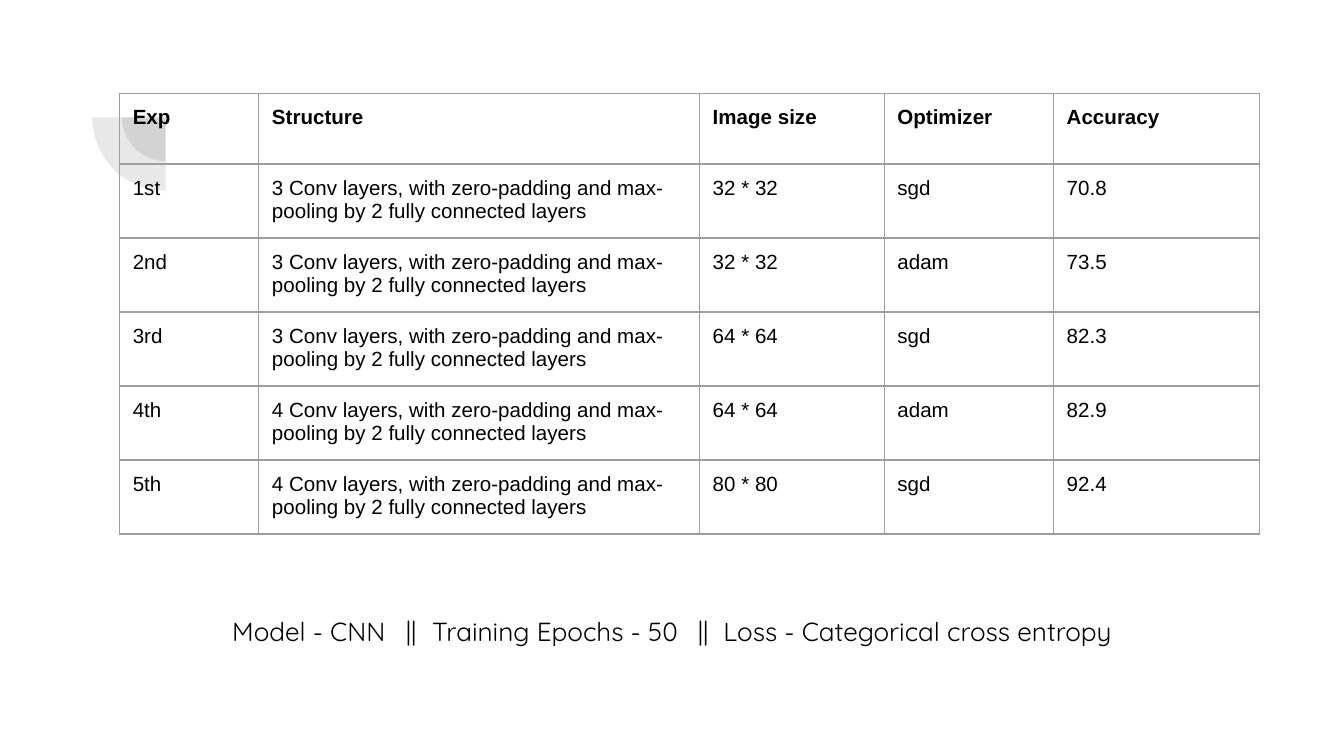
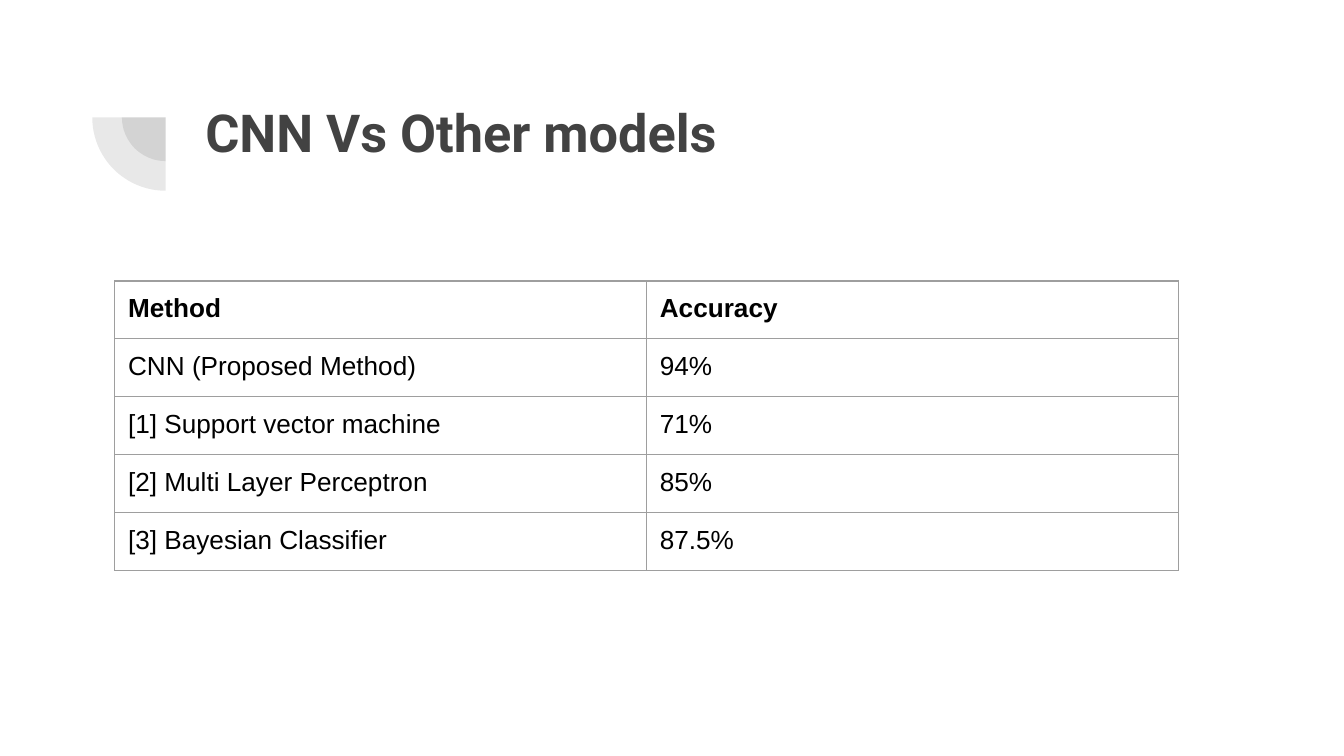
from dataclasses import dataclass
from typing import Any

from lxml import etree
from pptx import Presentation
from pptx.dml.color import RGBColor
from pptx.enum.shapes import MSO_SHAPE
from pptx.enum.text import MSO_ANCHOR
from pptx.oxml.ns import qn
from pptx.util import Cm, Pt

PIE = MSO_SHAPE.PIE
TOP = MSO_ANCHOR.TOP
BLANK_LAYOUT = 6


@dataclass(frozen=True)
class Theme:
    ink: str = "000000"
    heading: str = "424242"
    border: str = "9E9E9E"
    border_width: float = 0.75
    motif_opacity: int = 12
    table_font: str = "Arial"
    note_font: str = "Quicksand"
    title_font: str = "Roboto"
    small_size: int = 11
    medium_size: int = 14
    title_size: int = 28
    inset: float = 0.25


@dataclass(frozen=True)
class Box:
    left: float
    top: float
    width: float
    height: float

    def lengths(self) -> tuple[Cm, ...]:
        return tuple(Cm(v) for v in (self.left, self.top, self.width, self.height))


@dataclass(frozen=True)
class TextStyle:
    font: str
    size: int
    color: str
    bold: bool = False


@dataclass(frozen=True)
class TableSpec:
    left: float
    top: float
    columns: list[float]
    row_heights: list[float]
    size: int
    rows: list[tuple[str, ...]]


THEME = Theme()
TITLE_STYLE = TextStyle(THEME.title_font, THEME.title_size, THEME.heading, True)
NOTE_STYLE = TextStyle(THEME.note_font, THEME.medium_size, THEME.ink)

# Corner motif: concentric quarter circles
MOTIF_CENTER = (3.13, 2.22)
MOTIF_DIAMETERS = (1.65, 2.77)
QUARTER = (108, 162)


def set_attributes(target: Any, values: dict[str, Any]) -> None:
    for name, value in values.items():
        setattr(target, name, value)


def write_text(frame: Any, text: str, style: TextStyle) -> None:
    paragraph = frame.paragraphs[0]
    run = paragraph.add_run()
    run.text = text
    set_attributes(run.font, {
        "name": style.font, "size": Pt(style.size), "bold": style.bold,
    })
    run.font.color.rgb = RGBColor.from_string(style.color)


def margins(left: float = THEME.inset) -> dict[str, Any]:
    inset = Cm(THEME.inset)
    return {"margin_left": Cm(left), "margin_right": inset,
            "margin_top": inset, "margin_bottom": inset}


def add_text(slide: Any, box: Box, text: str, style: TextStyle,
             left_margin: float = THEME.inset) -> Any:
    frame = slide.shapes.add_textbox(*box.lengths()).text_frame
    set_attributes(frame, {
        "word_wrap": True, "vertical_anchor": TOP, **margins(left_margin),
    })
    write_text(frame, text, style)
    return frame


def set_tab_stops(paragraph: Any, stops: list[float]) -> None:
    properties = paragraph._p.get_or_add_pPr()
    tab_list = etree.SubElement(properties, qn("a:tabLst"))
    for stop in stops:
        etree.SubElement(tab_list, qn("a:tab"), pos=str(Cm(stop)), algn="l")


def add_motif(slide: Any) -> None:
    group = slide.shapes.add_group_shape()
    for diameter in MOTIF_DIAMETERS:
        left, top = (center - diameter / 2 for center in MOTIF_CENTER)
        shape = group.shapes.add_shape(
            PIE, *Box(left, top, diameter, diameter).lengths())
        shape.adjustments[0], shape.adjustments[1] = QUARTER
        shape.rotation = 270
        shape.shadow.inherit = False
        shape.line.fill.background()
        shape.fill.solid()
        shape.fill.fore_color.rgb = RGBColor.from_string(THEME.heading)
        color = shape._element.spPr.find(f".//{qn('a:srgbClr')}")
        etree.SubElement(color, qn("a:alpha"), val=str(THEME.motif_opacity * 1000))


def set_borders(cell: Any) -> None:
    properties = cell._tc.get_or_add_tcPr()
    for index, side in enumerate(("lnL", "lnR", "lnT", "lnB")):
        line = etree.Element(qn(f"a:{side}"), w=str(Pt(THEME.border_width)))
        fill = etree.SubElement(line, qn("a:solidFill"))
        etree.SubElement(fill, qn("a:srgbClr"), val=THEME.border)
        properties.insert(index, line)


def add_table(slide: Any, table_spec: TableSpec) -> None:
    box = Box(table_spec.left, table_spec.top,
              sum(table_spec.columns), sum(table_spec.row_heights))
    table = slide.shapes.add_table(
        len(table_spec.rows), len(table_spec.columns), *box.lengths()).table
    set_attributes(table, {"first_row": False, "horz_banding": False})
    for column, width in zip(table.columns, table_spec.columns):
        column.width = Cm(width)
    for row_index, (row, height) in enumerate(zip(table.rows, table_spec.row_heights)):
        row.height = Cm(height)
        style = TextStyle(THEME.table_font, table_spec.size, THEME.ink, row_index == 0)
        for cell, text in zip(row.cells, table_spec.rows[row_index]):
            set_attributes(cell, {"vertical_anchor": TOP, **margins()})
            cell.fill.background()
            set_borders(cell)
            write_text(cell.text_frame, text, style)


def structure(layers: int) -> str:
    return (f"{layers} Conv layers, with zero-padding and max-pooling "
            "by 2 fully connected layers")


EXPERIMENTS = TableSpec(
    left=2.26, top=1.76, columns=[2.63, 8.33, 3.49, 3.2, 3.9],
    row_heights=[1.34] + [1.4] * 5, size=THEME.small_size,
    rows=[
        ("Exp", "Structure", "Image size", "Optimizer", "Accuracy"),
        ("1st", structure(3), "32 * 32", "sgd", "70.8"),
        ("2nd", structure(3), "32 * 32", "adam", "73.5"),
        ("3rd", structure(3), "64 * 64", "sgd", "82.3"),
        ("4th", structure(4), "64 * 64", "adam", "82.9"),
        ("5th", structure(4), "80 * 80", "sgd", "92.4"),
    ],
)

METHODS = TableSpec(
    left=2.17, top=5.31, columns=[10.05] * 2,
    row_heights=[1.06] * 5, size=THEME.medium_size,
    rows=[
        ("Method", "Accuracy"),
        ("CNN (Proposed Method)", "94%"),
        ("[1] Support vector machine", "71%"),
        ("[2] Multi Layer Perceptron", "85%"),
        ("[3] Bayesian Classifier", "87.5%"),
    ],
)


def build_experiments(slide: Any) -> None:
    add_table(slide, EXPERIMENTS)
    # Training settings, spaced by tab stops
    settings = ["Model - CNN", "||", "Training Epochs - 50", "||",
                "Loss - Categorical cross entropy"]
    frame = add_text(slide, Box(2.82, 11.38, 19.56, 2.29),
                     "\t".join(settings), NOTE_STYLE, left_margin=1.57)
    set_tab_stops(frame.paragraphs[0], [3.28, 3.78, 8.8, 9.28])


def build_comparison(slide: Any) -> None:
    add_text(slide, Box(3.63, 1.65, 19.53, 2.77), "CNN Vs Other models", TITLE_STYLE)
    add_table(slide, METHODS)


def main() -> None:
    presentation = Presentation()
    set_attributes(presentation, {"slide_width": Cm(25.4), "slide_height": Cm(14.29)})
    for build in (build_experiments, build_comparison):
        slide = presentation.slides.add_slide(presentation.slide_layouts[BLANK_LAYOUT])
        add_motif(slide)
        build(slide)
    presentation.save("out.pptx")


if __name__ == "__main__":
    main()
